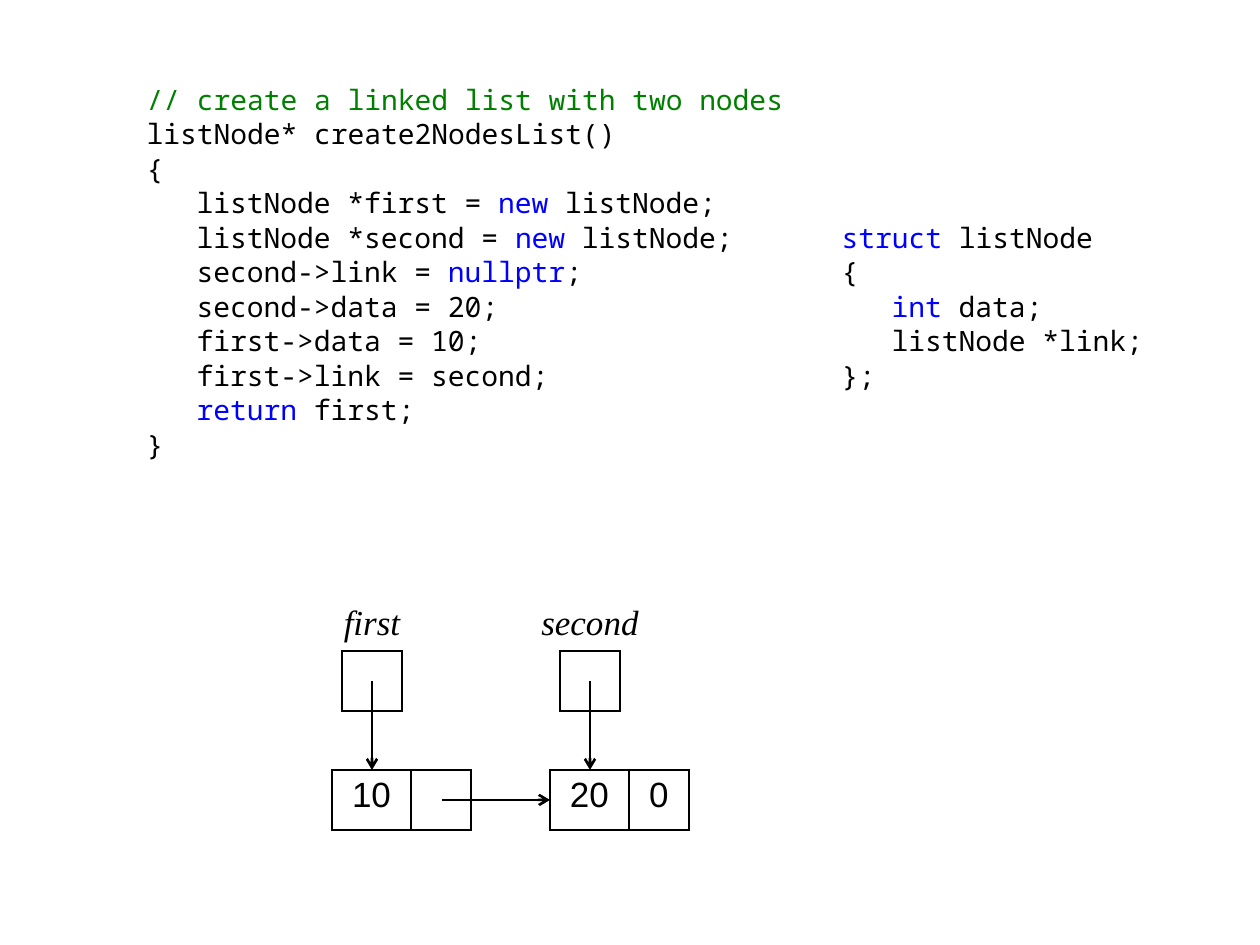
from dataclasses import dataclass
from lxml.etree import SubElement as Sub
from pptx import Presentation
from pptx.dml.color import RGBColor as RGB
from pptx.enum.shapes import MSO_CONNECTOR as Conn
from pptx.enum.text import MSO_ANCHOR as Anchor, MSO_AUTO_SIZE as Auto, PP_ALIGN as Align
from pptx.oxml.ns import qn
from pptx.util import Pt

SCALE = 914400 // 126
PLAIN = "{2D5ABB26-0587-4C30-8999-92F81FD0307C}"


@dataclass(frozen=True)
class Theme:
    """Colours, fonts and sizes of the slide."""
    ink: str = "000000"
    note: str = "008000"
    key: str = "0000FF"
    mono: str = "Noto Sans Mono"
    sans: str = "Arial"
    serif: str = "Times New Roman"
    code: int = 16
    text: int = 20
    line: float = 1.5
    tab: int = 50


THEME = Theme()

# Each line is a depth and its text; bars enclose keywords.
BUILD = [
    (0, "// create a linked list with two nodes"),
    (0, "listNode* create2NodesList()"),
    (0, "{"),
    (1, "listNode *first = |new| listNode;"),
    (1, "listNode *second = |new| listNode;"),
    (1, "second->link = |nullptr|;"),
    (1, "second->data = 20;"),
    (1, "first->data = 10;"),
    (1, "first->link = second;"),
    (1, "|return| first;"),
    (0, "}"),
]
STRUCT = [
    (0, "|struct| listNode"),
    (0, "{"),
    (1, "|int| data;"),
    (1, "listNode *link;"),
    (0, "};"),
]


def px(*vals):
    """Turn pixels into EMU."""
    return [round(v * SCALE) for v in vals]


def style(run, face, size, color=THEME.ink, slant=False):
    """Format one run."""
    font = run.font
    font.name, font.size, font.italic = face, Pt(size), slant
    font.color.rgb = RGB.from_string(color)


def add_code(holder, box, lines):
    """Fill a body placeholder with coloured code."""
    holder.left, holder.top, holder.width, holder.height = px(*box)
    frame = holder.text_frame
    frame.auto_size = Auto.NONE
    frame.word_wrap = True
    frame.vertical_anchor = Anchor.TOP
    frame.margin_right = px(5)[0]
    for i, (depth, line) in enumerate(lines):
        para = frame.paragraphs[0] if i == 0 else frame.add_paragraph()
        para.space_before = Pt(0.5)
        props = para._p.get_or_add_pPr()
        props.set("marL", str(px(depth * THEME.tab)[0]))
        props.set("indent", "0")
        Sub(props, qn("a:buNone"))
        base = THEME.note if line.startswith("//") else THEME.ink
        for j, part in enumerate(line.split("|")):
            if part:
                run = para.add_run()
                run.text = part
                style(run, THEME.mono, THEME.code, THEME.key if j % 2 else base)


def add_label(slide, box, text):
    """Add a centred italic name above a pointer box."""
    frame = slide.shapes.add_textbox(*px(*box)).text_frame
    frame.word_wrap = True
    frame.vertical_anchor = Anchor.MIDDLE
    frame.margin_left = frame.margin_right = 0
    para = frame.paragraphs[0]
    para.text = text
    para.alignment = Align.CENTER
    style(para.runs[0], THEME.serif, THEME.text, slant=True)


def set_edges(cell, sides):
    """Draw the named sides of a cell and clear the others."""
    props = cell._tc.get_or_add_tcPr()
    for side in "LRTB":
        edge = Sub(props, qn(f"a:ln{side}"), w=str(Pt(THEME.line)))
        if side in sides:
            fill = Sub(edge, qn("a:solidFill"))
            Sub(fill, qn("a:srgbClr"), val=THEME.ink)
        else:
            Sub(edge, qn("a:noFill"))


def add_cells(slide, x, y, high, cells):
    """Add a one-row table from (width, text); text None is an open gap."""
    total = sum(wide for wide, _ in cells)
    shape = slide.shapes.add_table(1, len(cells), *px(x, y, total, high))
    table = shape.table
    table.first_row = table.horz_banding = False
    table._tbl.tblPr.find(qn("a:tableStyleId")).text = PLAIN
    table.rows[0].height = px(high)[0]
    for i, (wide, text) in enumerate(cells):
        table.columns[i].width = px(wide)[0]
        cell = table.cell(0, i)
        set_edges(cell, "LR" if text is None else "LRTB")
        cell.fill.background()
        if text:
            para = cell.text_frame.paragraphs[0]
            para.text = text
            para.alignment = Align.CENTER
            style(para.runs[0], THEME.sans, THEME.text)


def add_arrow(slide, *ends):
    """Add a straight arrow with an open head."""
    arrow = slide.shapes.add_connector(Conn.STRAIGHT, *px(*ends))
    arrow.line.color.rgb = RGB.from_string(THEME.ink)
    arrow.line.width = Pt(THEME.line)
    Sub(arrow.line._get_or_add_ln(), qn("a:tailEnd"), type="arrow")
    Sub(arrow._element.spPr, qn("a:effectLst"))


def main():
    """Build the slide and save it."""
    deck = Presentation()
    deck.slide_width, deck.slide_height = px(1260, 945)
    slide = deck.slides.add_slide(deck.slide_layouts[3])
    title, left, right = slide.placeholders
    title._element.getparent().remove(title._element)
    add_code(left, (134, 76, 675, 436), BUILD)
    add_code(right, (829, 214, 338, 218), STRUCT)

    side, top, row = 60, 651, 770
    add_cells(slide, 332, row, side,
              [(79, "10"), (side, ""), (79, None), (79, "20"), (side, "0")])
    for mid, wide, name in ((372, 80, "first"), (590, 118, "second")):
        add_label(slide, (mid - wide / 2, 591, wide, side), name)
        add_cells(slide, mid - side / 2, top, side, [(side, "")])
        add_arrow(slide, mid, top + side / 2, mid, row)
    add_arrow(slide, 442, row + side / 2, 550, row + side / 2)
    deck.save("out.pptx")


main()
